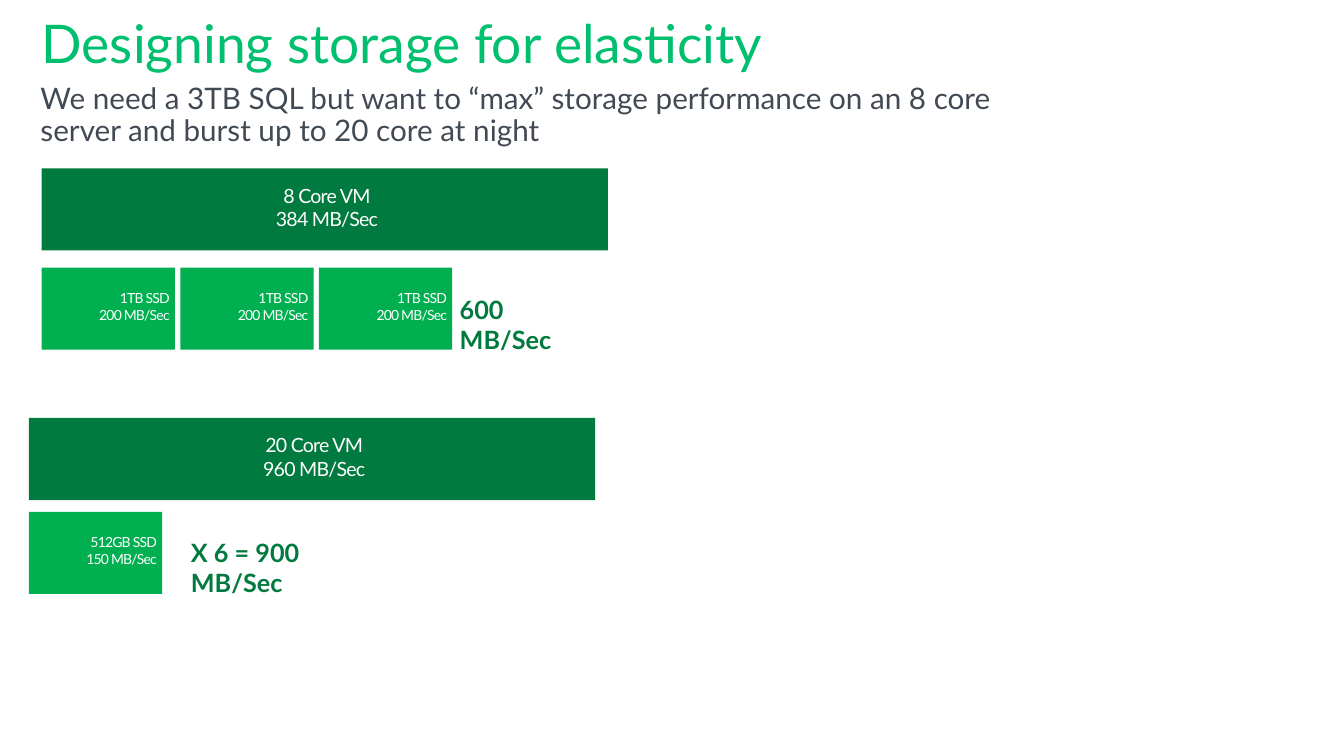
from pptx import Presentation
from pptx.dml.color import RGBColor
from pptx.enum.shapes import MSO_SHAPE as SHAPE
from pptx.enum.text import MSO_ANCHOR as ANCHOR, PP_ALIGN as ALIGN
from pptx.util import Inches, Pt

W, H = 12.6, 7.09
FONT = "Lato"
COLORS = {
    "title": "00BF6F",
    "body": "414A54",
    "vm": "007A3E",
    "ssd": "00B050",
    "white": "FFFFFF",
}
BLOCK_H = 0.77
VM_W = 5.31
SSD_W = 1.25
SSD_PITCH = 1.3


def rgb(name):
    return RGBColor.from_string(COLORS[name])


def set_margins(tf, left=0, top=0, right=0, bottom=0):
    tf.margin_left, tf.margin_top = Inches(left), Inches(top)
    tf.margin_right, tf.margin_bottom = Inches(right), Inches(bottom)


def style(p, size, color, bold=False):
    p.font.name = FONT
    p.font.size = Pt(size)
    p.font.bold = bold
    p.font.color.rgb = rgb(color)


def add_text(s, text, x, y, w, h, size, color, bold=False, anchor=ANCHOR.TOP):
    tf = s.shapes.add_textbox(Inches(x), Inches(y), Inches(w), Inches(h)).text_frame
    tf.word_wrap = True
    tf.vertical_anchor = anchor
    set_margins(tf)
    p = tf.paragraphs[0]
    p.text = text
    style(p, size, color, bold)
    return p


def add_block(s, text, x, y, w, color, size, align):
    sp = s.shapes.add_shape(SHAPE.RECTANGLE, Inches(x), Inches(y), Inches(w), Inches(BLOCK_H))
    sp.shadow.inherit = False
    sp.fill.solid()
    sp.fill.fore_color.rgb = rgb(color)
    sp.line.fill.background()
    tf = sp.text_frame
    tf.word_wrap = True
    tf.vertical_anchor = ANCHOR.MIDDLE
    set_margins(tf, 0.09, 0.05, 0.05, 0.09)
    tf.text = text
    for p in tf.paragraphs:
        p.alignment = align
        style(p, size, "white")
        for r in p.runs:
            r.font._element.set("spc", "-50")


def add_vm(s, text, x, y):
    add_block(s, text, x, y, VM_W, "vm", 13.2, ALIGN.CENTER)


def add_ssds(s, text, x, y, count):
    for i in range(count):
        add_block(s, text, x + i * SSD_PITCH, y, SSD_W, "ssd", 9.4, ALIGN.RIGHT)


def add_total(s, text, x, y, w):
    add_text(s, text, x, y, w, 0.29, 17, "vm", bold=True)


def main():
    prs = Presentation()
    prs.slide_width, prs.slide_height = Inches(W), Inches(H)
    s = prs.slides.add_slide(prs.slide_layouts[6])

    add_text(s, "Designing storage for elasticity", 0.39, 0.16, 11.52, 0.47,
             36, "title", anchor=ANCHOR.MIDDLE)
    p = add_text(s, "We need a 3TB SQL but want to “max” storage performance on an 8 core "
                 "server and burst up to 20 core at night", 0.38, 0.79, 9.16, 0.69, 20, "body")
    p.line_spacing = 0.9

    add_vm(s, "8 Core VM\n384 MB/Sec", 0.39, 1.58)
    add_ssds(s, "1TB SSD\v200 MB/Sec", 0.39, 2.51, 3)
    add_total(s, "600 MB/Sec", 4.31, 2.76, 1.26)

    add_vm(s, "20 Core VM\n960 MB/Sec", 0.27, 3.92)
    add_ssds(s, "512GB SSD\v150 MB/Sec", 0.27, 4.8, 1)
    add_total(s, "X 6 = 900 MB/Sec", 1.79, 5.04, 1.87)

    prs.save("out.pptx")


if __name__ == "__main__":
    main()
